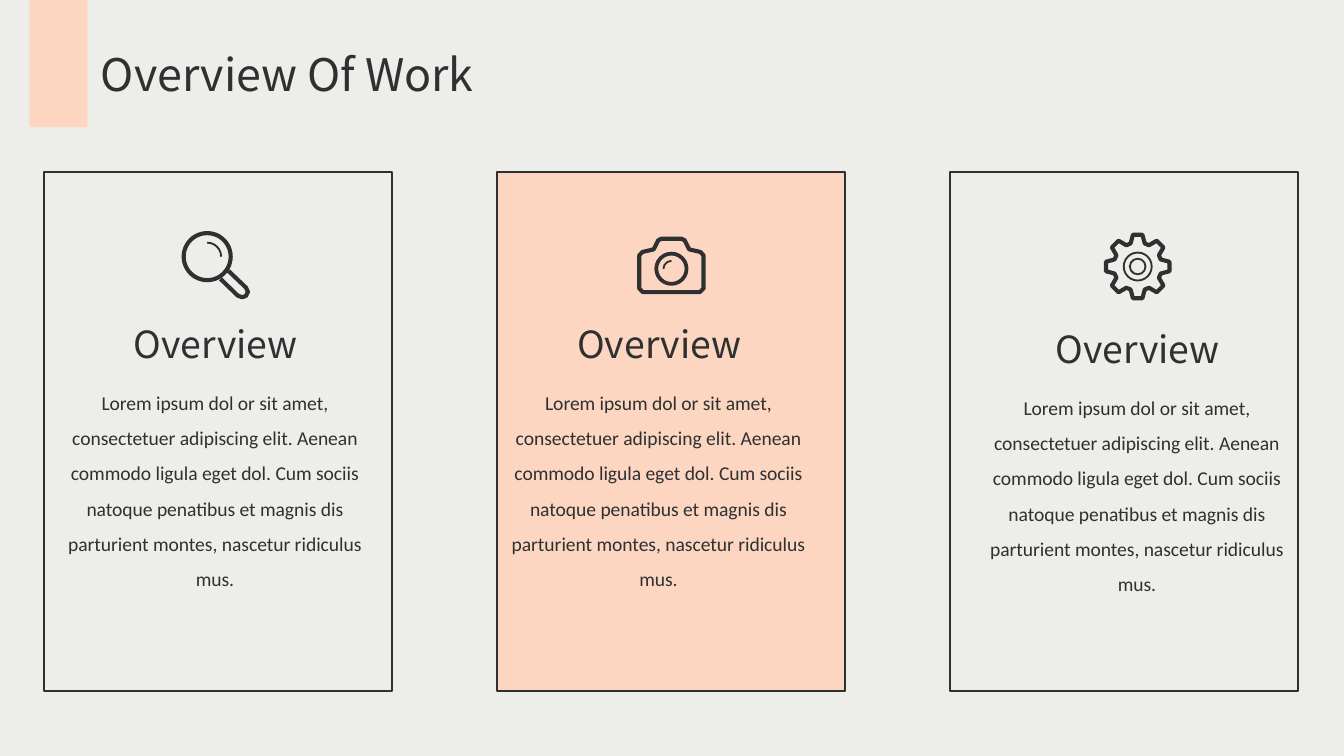
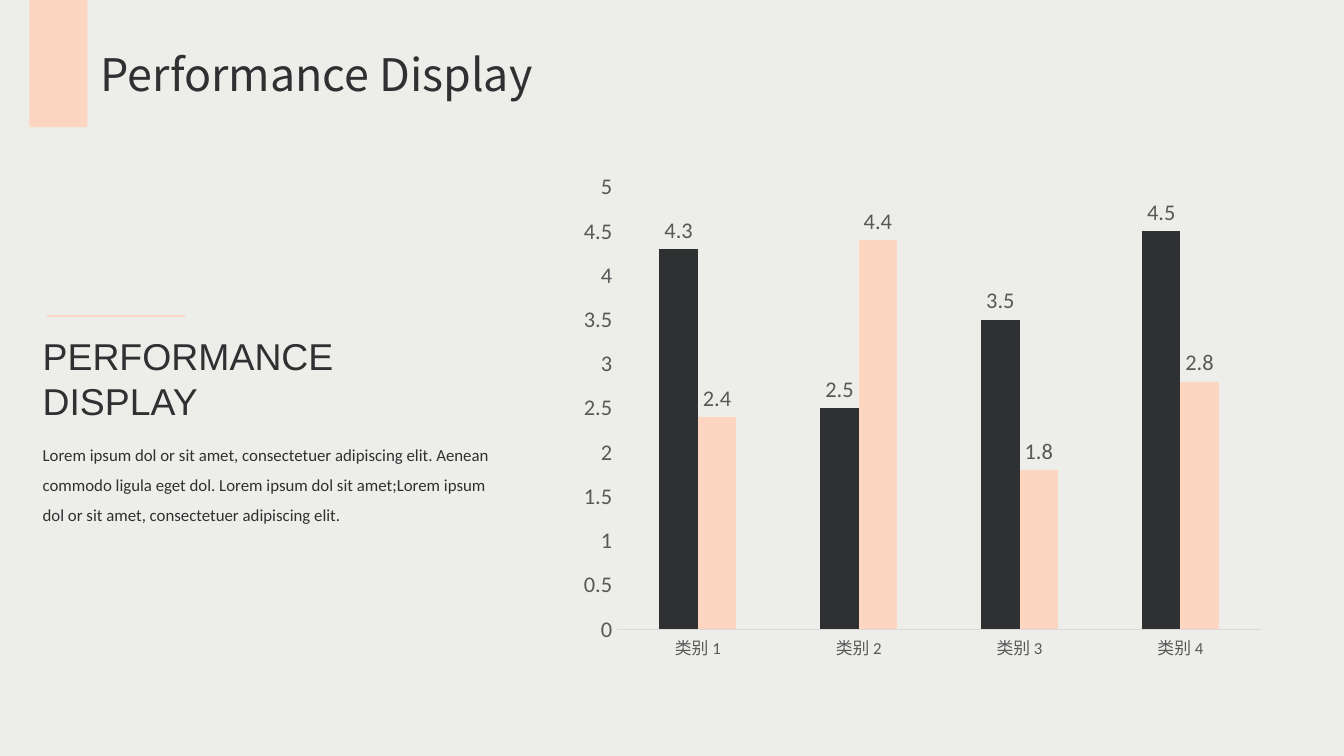
from math import cos, radians, sin

from lxml import etree
from pptx import Presentation
from pptx.chart.data import CategoryChartData
from pptx.dml.color import RGBColor
from pptx.enum.chart import XL_CHART_TYPE, XL_LABEL_POSITION, XL_TICK_MARK
from pptx.enum.shapes import MSO_CONNECTOR, MSO_SHAPE
from pptx.enum.text import MSO_ANCHOR, MSO_AUTO_SIZE, PP_ALIGN
from pptx.oxml import parse_xml
from pptx.oxml.ns import nsdecls, qn
from pptx.util import Pt

RECT, OVAL, ARC = MSO_SHAPE.RECTANGLE, MSO_SHAPE.OVAL, MSO_SHAPE.ARC
LEFT, CENTER = PP_ALIGN.LEFT, PP_ALIGN.CENTER
TOP, MIDDLE = MSO_ANCHOR.TOP, MSO_ANCHOR.MIDDLE
GROW = MSO_AUTO_SIZE.SHAPE_TO_FIT_TEXT
STRAIGHT = MSO_CONNECTOR.STRAIGHT
COLUMN = XL_CHART_TYPE.COLUMN_CLUSTERED
OUTSIDE = XL_LABEL_POSITION.OUTSIDE_END
NO_TICK = XL_TICK_MARK.NONE

PAPER = RGBColor(0xED, 0xEE, 0xE9)
PEACH = RGBColor(0xFC, 0xD6, 0xC1)
INK = RGBColor(0x2E, 0x30, 0x32)
GREY = RGBColor(0x59, 0x57, 0x5A)
RULE = RGBColor(0xD9, 0xD9, 0xD9)
SANS, BODY, HEAD = "Noto Sans CJK SC", "Calibri", "Arial"

LOREM = ("Lorem ipsum dol or sit amet, consectetuer adipiscing elit. Aenean "
         "commodo ligula eget dol. Cum sociis natoque penatibus et magnis dis "
         "parturient montes, nascetur ridiculus mus.")
BRIEF = ("Lorem ipsum dol or sit amet, consectetuer adipiscing elit. Aenean "
         "commodo ligula eget dol. Lorem ipsum dol sit amet;Lorem ipsum dol "
         "or sit amet, consectetuer adipiscing elit.")


def place(shape, left, top, width, height):
    shape.left, shape.top = Pt(left), Pt(top)
    shape.width, shape.height = Pt(width), Pt(height)


def paint(shape, fill=None, line=None, weight=1):
    shape.shadow.inherit = False
    if fill is None:
        shape.fill.background()
    else:
        shape.fill.solid()
        shape.fill.fore_color.rgb = fill
    if line is None:
        shape.line.fill.background()
    else:
        shape.line.color.rgb = line
        shape.line.width = Pt(weight)


def style(font, name, size, color):
    font.name, font.size = name, Pt(size)
    font.color.rgb = color


def write(shape, text, name, size, wrap=True, align=LEFT, anchor=TOP,
          space=None):
    frame = shape.text_frame
    frame.text = text
    frame.word_wrap = wrap
    frame.auto_size = GROW
    frame.vertical_anchor = anchor
    for para in frame.paragraphs:
        para.alignment = align
        para.line_spacing = space
        style(para.font, name, size, INK)


def add_text(slide, box, text, name, size, **look):
    shape = slide.shapes.add_textbox(*map(Pt, box))
    write(shape, text, name, size, **look)


def add_box(slide, box, fill=None, line=None):
    paint(slide.shapes.add_shape(RECT, *map(Pt, box)), fill, line)


def add_round(shapes, kind, mid, size, weight, turn=0):
    x, y = mid
    shape = shapes.add_shape(kind, Pt(x - size / 2), Pt(y - size / 2),
                             Pt(size), Pt(size))
    shape.rotation = turn
    paint(shape, line=INK, weight=weight)


def add_path(shapes, mid, points, close=True):
    spots = [(Pt(mid[0] + x), Pt(mid[1] + y)) for x, y in points]
    path = shapes.build_freeform(*spots[0])
    path.add_line_segments(spots[1:], close=close)
    paint(path.convert_to_shape(), line=INK, weight=2.2)


def draw_lens(shapes):
    mid = (111, 137.5)
    add_round(shapes, OVAL, mid, 25.2, 2.2)
    add_round(shapes, ARC, mid, 15, 1)
    grip = [(11.4, 7.6), (20.8, 16.6), (21.8, 18.9), (20.8, 21),
            (18.8, 21.8), (16.4, 20.9), (7.1, 11.9)]
    add_path(shapes, mid, grip, close=False)


def draw_camera(shapes):
    mid = (359.7, 144)
    half = [(-15.3, 12.5), (-17.2, 10.6), (-17.2, -7.2), (-15.5, -9),
            (-9.5, -10.4), (-7.1, -15.2), (-5.5, -16.1)]
    add_path(shapes, mid, half + [(-x, y) for x, y in reversed(half)])
    add_round(shapes, OVAL, mid, 16.2, 2)
    add_round(shapes, ARC, mid, 8.6, 1, turn=270)


def draw_gear(shapes):
    mid = (609.5, 142.8)
    tooth = [(-17, 12.9), (-8.5, 17.2), (8.5, 17.2), (17, 12.9)]
    rim = [(r * cos(radians(turn + a)), r * sin(radians(turn + a)))
           for turn in range(0, 360, 45) for a, r in tooth]
    add_path(shapes, mid, rim)
    for size in (15, 8.4):
        add_round(shapes, OVAL, mid, size, 1)


def add_card(slide, left, fill, spot, draw):
    x, y = spot
    add_box(slide, (left, 92.2, 186.5, 277.9), fill, INK)
    add_text(slide, (x, y, 172.8, 119.5), LOREM, BODY, 10.5,
             align=CENTER, space=1.5)
    add_text(slide, (x + 32.8, y - 31.2, 108, 31.7), "Overview", SANS, 20,
             wrap=False, align=CENTER, anchor=MIDDLE)
    draw(slide.shapes.add_group_shape().shapes)


def add_slide(deck, title):
    slide = deck.slides.add_slide(deck.slide_layouts[5])
    add_box(slide, (15.8, 0, 31, 68.2), PEACH)
    head = slide.shapes.title
    place(head, 46.8, 21.6, 257, 36)
    write(head, title, SANS, 24, wrap=False, anchor=MIDDLE)
    return slide


def add_line(slide, start, end, color, weight):
    line = slide.shapes.add_connector(STRAIGHT, *map(Pt, start + end))
    line.line.color.rgb = color
    line.line.width = Pt(weight)
    etree.SubElement(line._element.spPr, qn("a:effectLst"))


def set_plot(chart, x, y, width, height):
    sizes = "".join(f'<c:{tag} val="{val}"/>' for tag, val in
                    zip("xywh", (x, y, width, height)))
    layout = parse_xml(
        f'<c:layout {nsdecls("c")}><c:manualLayout>'
        '<c:layoutTarget val="inner"/><c:xMode val="edge"/>'
        f'<c:yMode val="edge"/>{sizes}</c:manualLayout></c:layout>')
    area = chart._chartSpace.chart.plotArea
    for old in area.findall(qn("c:layout")):
        area.remove(old)
    area.insert(0, layout)


def add_bars(slide, box, names, rows):
    data = CategoryChartData()
    data.categories = names
    for name, vals, color in rows:
        data.add_series(name, vals)
    chart = slide.shapes.add_chart(COLUMN, *map(Pt, box), data).chart
    chart.has_legend = chart.has_title = False
    style(chart.font, BODY, 12, GREY)
    set_plot(chart, 0.104, 0.054, 0.852, 0.797)

    for axis, size in ((chart.category_axis, 9), (chart.value_axis, 12)):
        axis.has_major_gridlines = False
        axis.major_tick_mark = axis.minor_tick_mark = NO_TICK
        style(axis.tick_labels.font, BODY, size, GREY)
    base, scale = chart.category_axis, chart.value_axis
    base.format.line.color.rgb = RULE
    base.format.line.width = Pt(0.75)
    scale.format.line.fill.background()
    scale.minimum_scale, scale.maximum_scale = 0, 5
    scale.major_unit = 0.5

    plot = chart.plots[0]
    plot.gap_width, plot.overlap = 219, 0
    plot.vary_by_categories = False
    for series, (name, vals, color) in zip(plot.series, rows):
        series.format.fill.solid()
        series.format.fill.fore_color.rgb = color
        labels = series.data_labels
        labels.show_value = True
        labels.position = OUTSIDE
        style(labels.font, BODY, 12, GREY)


def main():
    deck = Presentation()
    deck.slide_width, deck.slide_height = Pt(720), Pt(405)
    back = deck.slide_master.background.fill
    back.solid()
    back.fore_color.rgb = PAPER

    work = add_slide(deck, "Overview Of Work")
    cards = [(None, (28.8, 199.6), draw_lens),
             (PEACH, (266.4, 199.6), draw_camera),
             (None, (522.7, 202.3), draw_gear)]
    for i, (fill, spot, draw) in enumerate(cards):
        add_card(work, 23.6 + 242.7 * i, fill, spot, draw)

    show = add_slide(deck, "Performance Display")
    add_bars(show, (288.7, 84.2, 404.6, 297.4),
             [f"类别 {n}" for n in range(1, 5)],
             [("Series 1", (4.3, 2.5, 3.5, 4.5), INK),
              ("Series 2", (2.4, 4.4, 1.8, 2.8), PEACH)])
    add_line(show, (25.2, 169.3), (99.2, 169.3), PEACH, 1.5)
    add_text(show, (15.8, 175, 177.8, 55.4), "PERFORMANCE\nDISPLAY", HEAD, 20,
             wrap=False)
    add_text(show, (15.8, 229, 259.2, 56.2), BRIEF, BODY, 9, space=1.5)

    deck.save("out.pptx")


if __name__ == "__main__":
    main()
